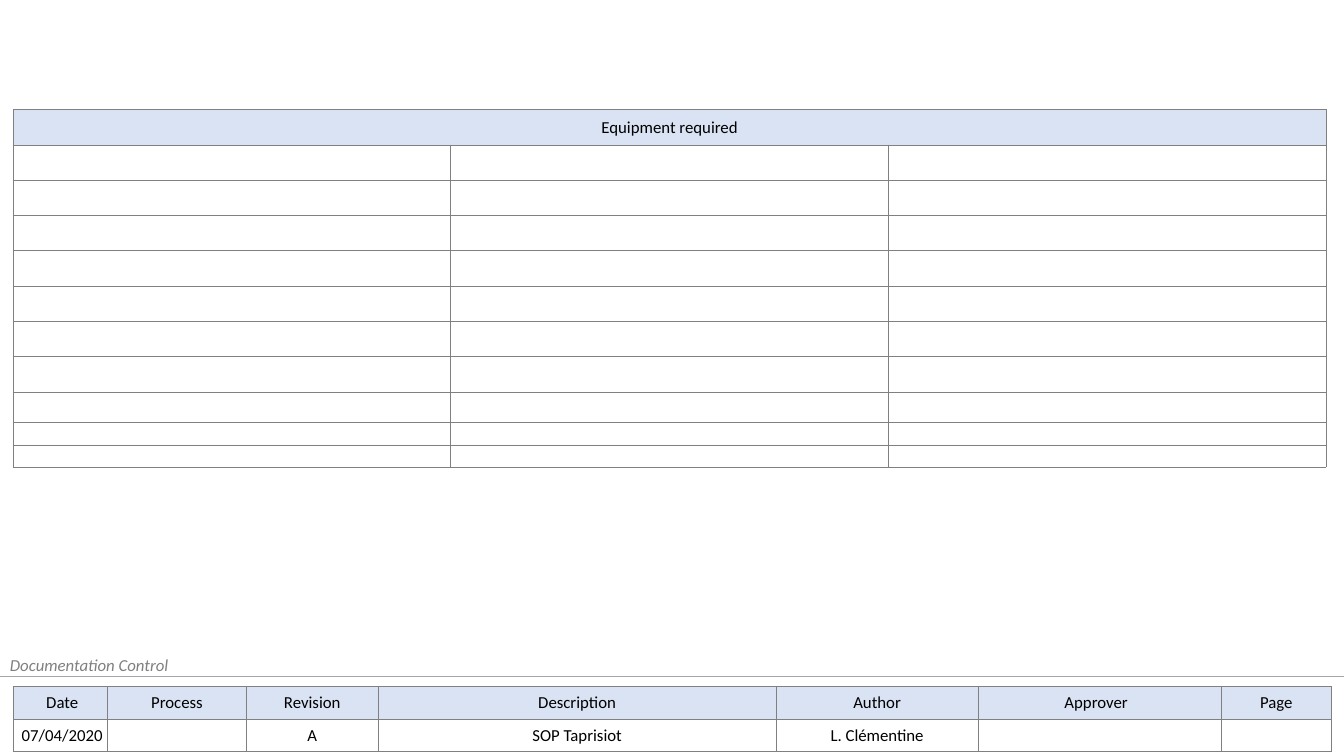
from dataclasses import dataclass

from lxml.etree import SubElement
from pptx import Presentation
from pptx.dml.color import RGBColor
from pptx.enum.shapes import MSO_CONNECTOR
from pptx.enum.text import MSO_ANCHOR, PP_ALIGN
from pptx.oxml.ns import qn
from pptx.util import Cm, Pt


@dataclass(frozen=True)
class Theme:
    font: str = "Calibri"
    size: int = 12
    text: str = "000000"
    muted: str = "808080"
    border: str = "808080"
    rule: str = "A6A6A6"
    header: str = "DAE3F3"
    line_width: float = 0.5


class SlideBuilder:
    def __init__(self, slide, theme):
        self.slide = slide
        self.theme = theme

    def style(self, paragraph, color, italic=False):
        for run in paragraph.runs:
            font = run.font
            font.name = self.theme.font
            font.size = Pt(self.theme.size)
            font.bold = False
            font.italic = italic
            font.color.rgb = RGBColor.from_string(color)

    def border(self, cell):
        properties = cell._tc.get_or_add_tcPr()
        for side in ("a:lnL", "a:lnR", "a:lnT", "a:lnB"):
            line = SubElement(properties, qn(side), w=str(Pt(self.theme.line_width)))
            fill = SubElement(line, qn("a:solidFill"))
            SubElement(fill, qn("a:srgbClr"), val=self.theme.border)

    def fill_cell(self, cell, text, is_header):
        cell.margin_left = cell.margin_right = cell.margin_top = Cm(0.02)
        cell.margin_bottom = 0
        cell.vertical_anchor = MSO_ANCHOR.MIDDLE
        self.border(cell)
        if is_header:
            cell.fill.solid()
            cell.fill.fore_color.rgb = RGBColor.from_string(self.theme.header)
        else:
            cell.fill.background()
        paragraph = cell.text_frame.paragraphs[0]
        paragraph.alignment = PP_ALIGN.CENTER
        if text:
            paragraph.text = text
            self.style(paragraph, self.theme.text)
        else:
            SubElement(paragraph._p, qn("a:endParaRPr"), sz=str(self.theme.size * 100))

    def table(self, left, top, widths, heights, rows):
        frame = self.slide.shapes.add_table(
            len(heights), len(widths), Cm(left), Cm(top), Cm(sum(widths)), Cm(sum(heights))
        )
        table = frame.table
        table.first_row = table.horz_banding = False
        for column, width in zip(table.columns, widths):
            column.width = Cm(width)
        for row, height in zip(table.rows, heights):
            row.height = Cm(height)
        for row_index, texts in enumerate(rows):
            for column_index, text in enumerate(texts):
                self.fill_cell(table.cell(row_index, column_index), text, row_index == 0)
        return table

    def rule(self, top, width):
        line = self.slide.shapes.add_connector(
            MSO_CONNECTOR.STRAIGHT, 0, Cm(top), Cm(width), Cm(top)
        )
        line.line.color.rgb = RGBColor.from_string(self.theme.rule)
        line.line.width = Pt(self.theme.line_width)
        SubElement(line._element.spPr, qn("a:effectLst"))

    def label(self, left, top, width, height, text):
        box = self.slide.shapes.add_textbox(Cm(left), Cm(top), Cm(width), Cm(height))
        box.text_frame.word_wrap = True
        box.text_frame.text = text
        self.style(box.text_frame.paragraphs[0], self.theme.muted, italic=True)


def main():
    """Build the equipment slide with its documentation control footer."""
    presentation = Presentation()
    presentation.slide_width = Cm(33.87)
    presentation.slide_height = Cm(19.05)
    slide = presentation.slides.add_slide(presentation.slide_layouts[6])
    builder = SlideBuilder(slide, Theme())

    control_rows = [
        [" Date", " Process ", " Revision ", " Description ", " Author ", "Approver  ", "Page"],
        [" 07/04/2020", "", "A", "SOP Taprisiot", "L. Clémentine", "", ""],
    ]
    control_widths = [2.38, 3.5, 3.32, 10.03, 5.09, 6.14, 2.75]
    builder.table(0.33, 17.3, control_widths, [0.82] * 2, control_rows)
    builder.rule(17.04, 33.87)
    builder.label(0, 16.38, 4.95, 0.76, "Documentation Control")

    equipment_heights = [0.89] * 8 + [0.77] + [0.56] * 2
    equipment_rows = [["Equipment required", "", ""]] + [[""] * 3] * 10
    equipment = builder.table(0.33, 2.76, [11.03] * 3, equipment_heights, equipment_rows)
    equipment.cell(0, 0).merge(equipment.cell(0, 2))

    presentation.save("out.pptx")


if __name__ == "__main__":
    main()
